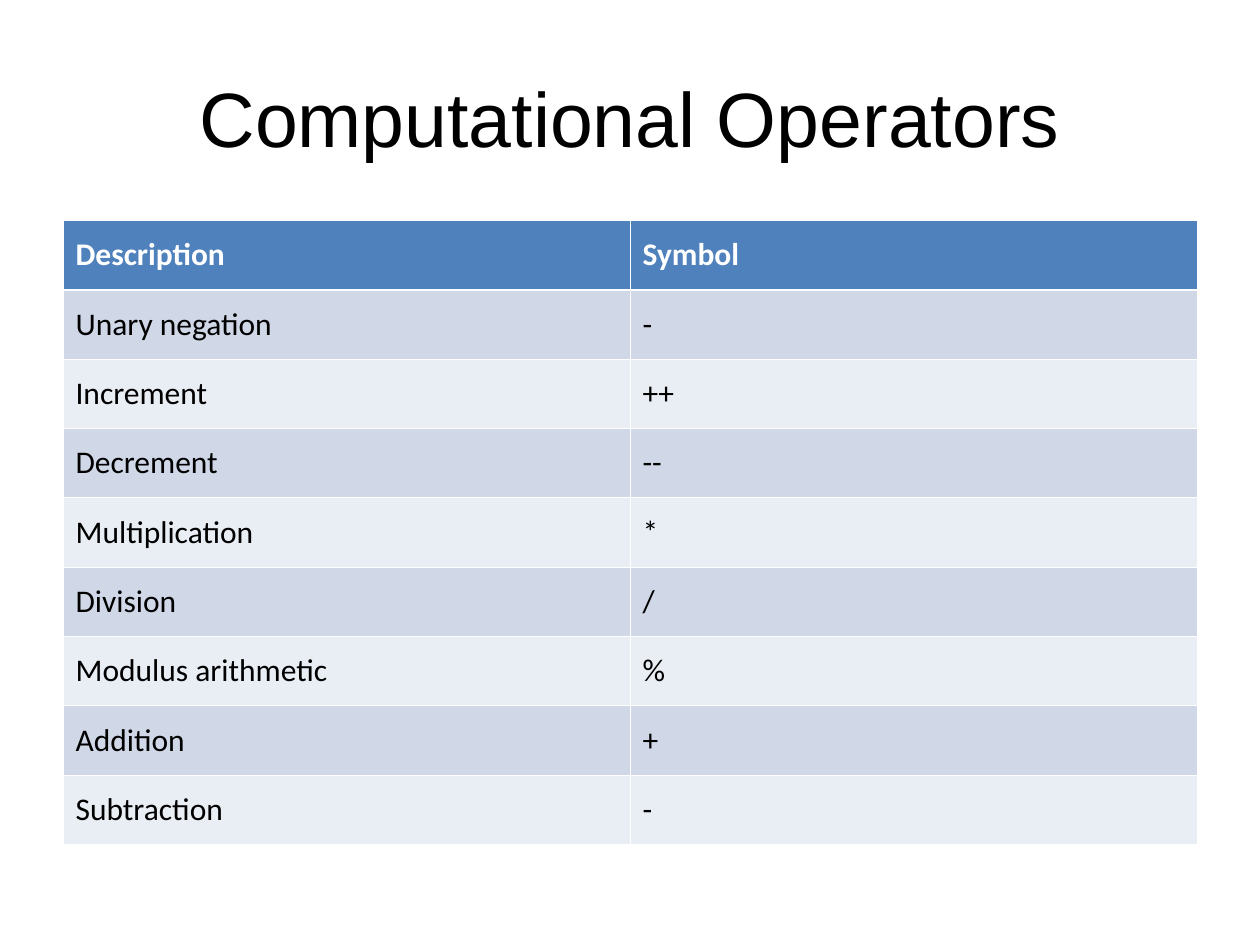
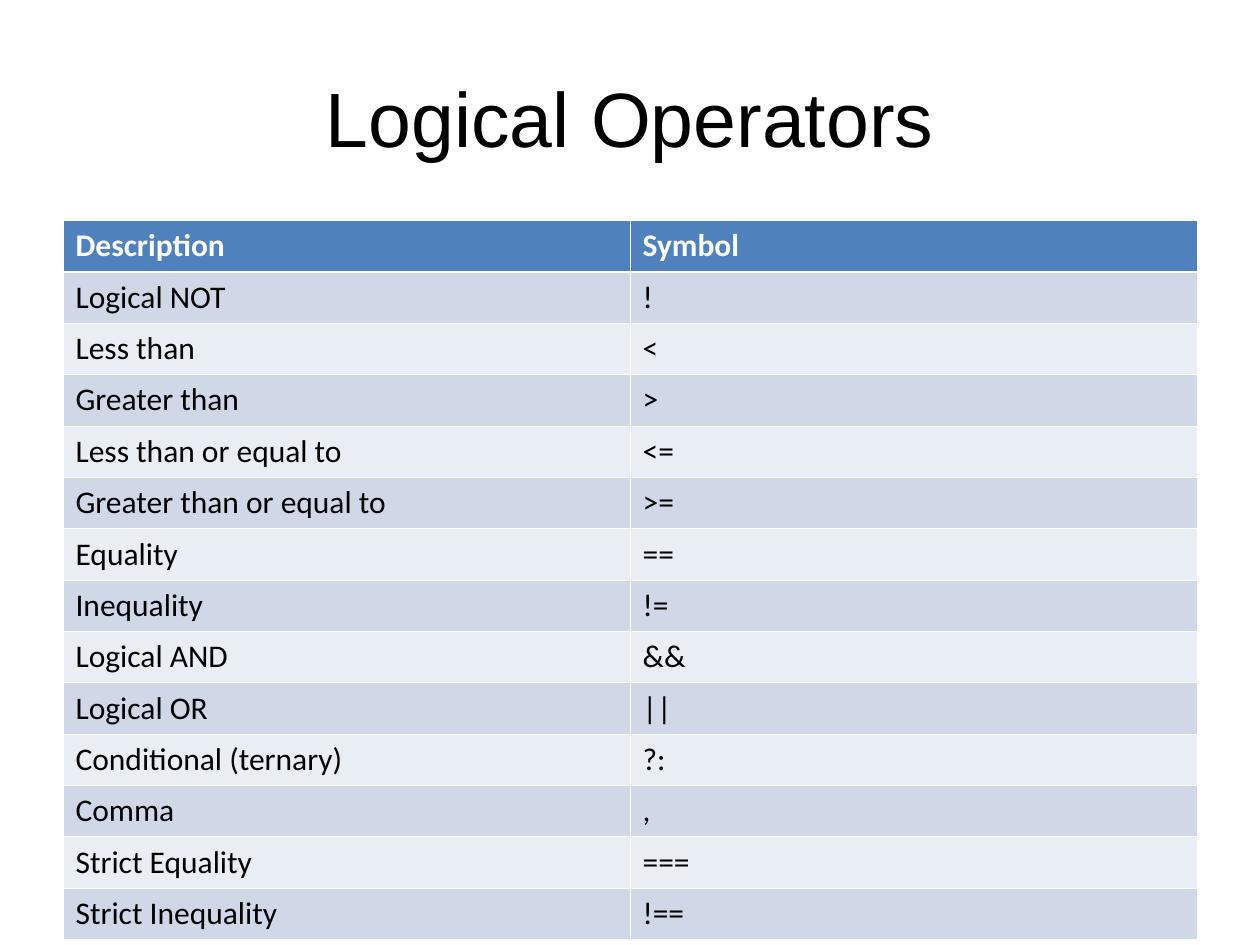
from lxml import etree
from pptx import Presentation
from pptx import util as u
from pptx.dml.color import RGBColor
from pptx.enum import text
from pptx.oxml import ns

PX = 9144
COLORS = {
    "ink": "000000",
    "paper": "FFFFFF",
    "header": "4F81BD",
    "odd": "D0D8E8",
    "even": "E9EDF4",
}
TITLE_FONT = "Arial"
TABLE_FONT = "Calibri"
LEFT, WIDTH = 50, 900
TITLE_TOP, TITLE_HEIGHT = 30, 125
TABLE_TOP = 175
THIN, THICK = 0.45, 1.47

HEADINGS = ("Description", "Symbol")
COMPUTATIONAL = [
    ("Unary negation", "-"),
    ("Increment", "++"),
    ("Decrement", "--"),
    ("Multiplication", "*"),
    ("Division", "/"),
    ("Modulus arithmetic", "%"),
    ("Addition", "+"),
    ("Subtraction", "-"),
]
LOGICAL = [
    ("Logical NOT", "!"),
    ("Less than", "<"),
    ("Greater than", ">"),
    ("Less than or equal to", "<="),
    ("Greater than or equal to", ">="),
    ("Equality", "=="),
    ("Inequality", "!="),
    ("Logical AND", "&&"),
    ("Logical OR", "||"),
    ("Conditional (ternary)", "?:"),
    ("Comma", ","),
    ("Strict Equality", "==="),
    ("Strict Inequality", "!=="),
]


def px(length):
    return u.Emu(round(length * PX))


def color(name):
    return RGBColor.from_string(COLORS[name])


def add_run(para, words, font, size, ink, bold=False):
    span = para.add_run()
    span.text = words
    span.font.name = font
    span.font.size = u.Pt(size)
    span.font.bold = bold
    span.font.color.rgb = color(ink)


def set_title(page, words):
    box = page.shapes.title
    box.left, box.top = px(LEFT), px(TITLE_TOP)
    box.width, box.height = px(WIDTH), px(TITLE_HEIGHT)
    box.text_frame.vertical_anchor = text.MSO_ANCHOR.MIDDLE
    para = box.text_frame.paragraphs[0]
    para.alignment = text.PP_ALIGN.CENTER
    add_run(para, words, TITLE_FONT, 44, "ink")


def set_borders(cell, row):
    properties = cell._tc.get_or_add_tcPr()
    widths = {
        "L": THIN,
        "R": THIN,
        "T": THICK if row == 1 else THIN,
        "B": THICK if row == 0 else THIN,
    }
    for side, width in widths.items():
        line = etree.SubElement(properties, ns.qn(f"a:ln{side}"), w=str(u.Pt(width)))
        fill = etree.SubElement(line, ns.qn("a:solidFill"))
        etree.SubElement(fill, ns.qn("a:srgbClr"), val=COLORS["paper"])


def fill_cell(cell, words, row):
    is_header = row == 0
    set_borders(cell, row)
    cell.fill.solid()
    cell.fill.fore_color.rgb = color("header" if is_header else "odd" if row % 2 else "even")
    cell.vertical_anchor = text.MSO_ANCHOR.MIDDLE
    para = cell.text_frame.paragraphs[0]
    para.space_before = u.Pt(4.5)
    add_run(para, words, TABLE_FONT, 18, "paper" if is_header else "ink", is_header)


def add_operator_table(page, operators, height):
    rows = [HEADINGS, *operators]
    frame = page.shapes.add_table(
        len(rows), len(HEADINGS), px(LEFT), px(TABLE_TOP), px(WIDTH), px(height)
    )
    table = frame.table
    for row, entries in enumerate(rows):
        table.rows[row].height = px(height / len(rows))
        for column, words in enumerate(entries):
            fill_cell(table.cell(row, column), words, row)


def add_operator_page(deck, title, operators, table_height):
    page = deck.slides.add_slide(deck.slide_layouts[5])
    set_title(page, title)
    add_operator_table(page, operators, table_height)


def main():
    deck = Presentation()
    deck.slide_width, deck.slide_height = px(1000), px(750)
    add_operator_page(deck, "Computational Operators", COMPUTATIONAL, 495)
    add_operator_page(deck, "Logical Operators", LOGICAL, 571)
    deck.save("out.pptx")


if __name__ == "__main__":
    main()
